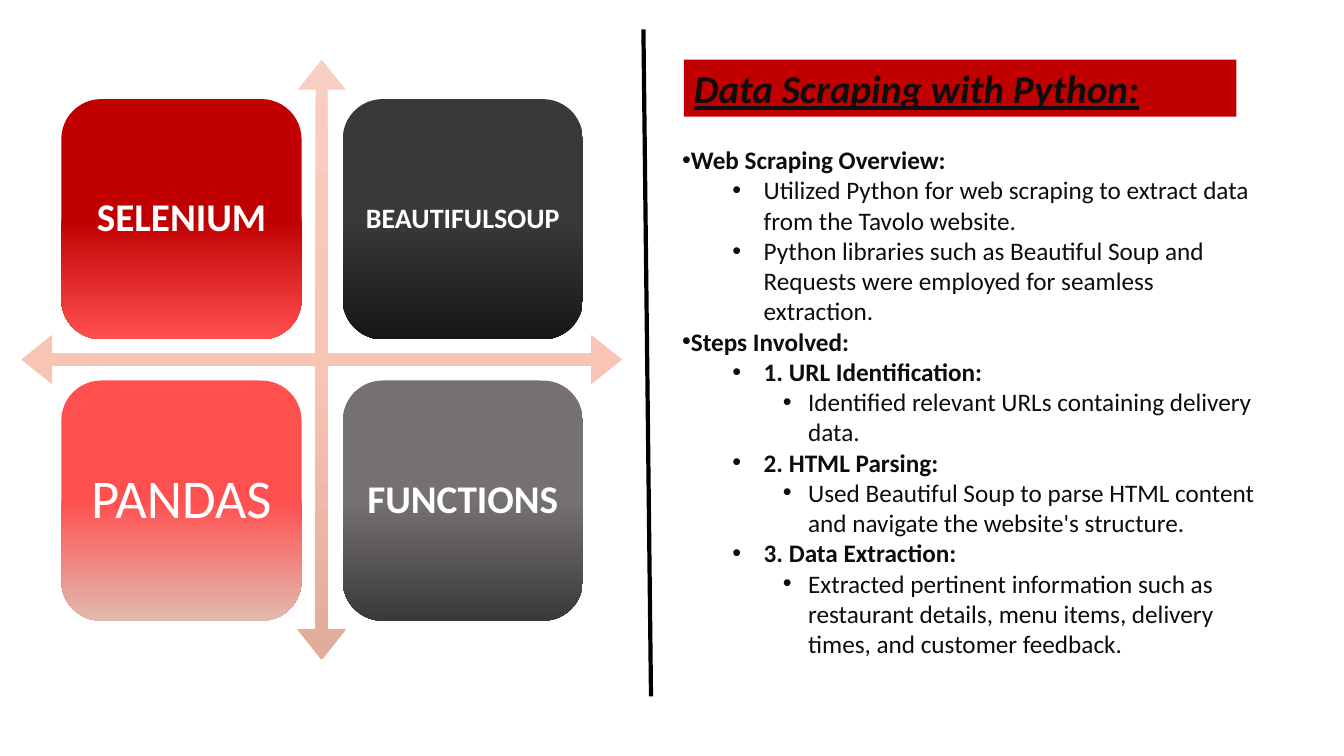
from copy import deepcopy

from pptx import Presentation
from pptx.dml.color import RGBColor
from pptx.enum.shapes import MSO_CONNECTOR, MSO_SHAPE
from pptx.enum.text import MSO_ANCHOR, MSO_AUTO_SIZE, PP_ALIGN
from pptx.oxml.ns import qn
from pptx.util import Inches, Pt

QUAD_ARROW = MSO_SHAPE.QUAD_ARROW
ROUNDED = MSO_SHAPE.ROUNDED_RECTANGLE
STRAIGHT = MSO_CONNECTOR.STRAIGHT
TOP, MIDDLE = MSO_ANCHOR.TOP, MSO_ANCHOR.MIDDLE
LEFT, CENTER = PP_ALIGN.LEFT, PP_ALIGN.CENTER
FIXED = MSO_AUTO_SIZE.NONE

COLUMNS, ROWS = 16, 9
TITLE = "Data Scraping with Python:"
ARROW_STOPS = ("F8CFC2", "F8C4B3", "E2AC9A")
ARROW_PROPORTIONS = (0.02, 0.04, 0.05)
TILE_LEFT, TILE_TOP, TILE_SIZE, TILE_PITCH = 0.73, 1.18, 2.86, 3.35
TILES = [
    ("SELENIUM", 28, True, ("C00000", "C00000", "FF5050")),
    ("BEAUTIFULSOUP", 20, True, ("3B3838", "3B3838", "181717")),
    ("PANDAS", 39, False, ("FF5050", "FF5050", "E1BAAE")),
    ("FUNCTIONS", 28, True, ("767171", "767171", "3B3838")),
]
LEVEL_INDENTS = [(0, 0), (0.81, -0.31), (1.25, -0.25)]
OUTLINE = [
    (0, True, "Web Scraping Overview:"),
    (1, False, "Utilized Python for web scraping to extract data from the Tavolo website."),
    (1, False, "Python libraries such as Beautiful Soup and Requests were employed "
               "for seamless extraction."),
    (0, True, "Steps Involved:"),
    (1, True, "1. URL Identification:"),
    (2, False, "Identified relevant URLs containing delivery data."),
    (1, True, "2. HTML Parsing:"),
    (2, False, "Used Beautiful Soup to parse HTML content and navigate the website's structure."),
    (1, True, "3. Data Extraction:"),
    (2, False, "Extracted pertinent information such as restaurant details, menu items, "
               "delivery times, and customer feedback."),
]


def color(hex_value):
    """Return the colour for a hex string."""
    return RGBColor.from_string(hex_value)


def apply(target, values):
    """Set each named attribute of the target."""
    for name, value in values.items():
        setattr(target, name, value)


class Page:
    """Draw styled elements on one slide laid out on a column and row grid."""

    font = "Calibri"
    ink = "0D0D0D"
    light = "FFFFFF"
    accent = "C00000"

    def __init__(self, deck):
        """Add a title and content slide to the deck."""
        self.slide = deck.slides.add_slide(deck.slide_layouts[1])
        self.column = deck.slide_width / COLUMNS
        self.row = deck.slide_height / ROWS

    def place(self, left, top, width, height):
        """Convert grid units to slide lengths."""
        return (round(left * self.column), round(top * self.row),
                round(width * self.column), round(height * self.row))

    def move(self, box, *area):
        """Put a placeholder at a grid area."""
        apply(box, dict(zip(("left", "top", "width", "height"), self.place(*area))))

    def add_span(self, para, text, size, ink, **formats):
        """Add one formatted span to a paragraph."""
        span = para.add_run()
        span.text = text
        apply(span.font, {"name": self.font, "size": Pt(size), **formats})
        span.font.color.rgb = color(ink)

    def gradient_shape(self, kind, stops, *area):
        """Add a preset shape with a vertical three-stop gradient."""
        box = self.slide.shapes.add_shape(kind, *self.place(*area))
        box.shadow.inherit = False
        box.line.fill.background()
        box.fill.gradient()
        box.fill.gradient_angle = 270
        stop_list = box._element.spPr.find(".//" + qn("a:gsLst"))
        stop_list.insert(1, deepcopy(stop_list[0]))
        for index, (stop, hex_value) in enumerate(zip(box.fill.gradient_stops, stops)):
            stop.position = index / 2
            stop.color.rgb = color(hex_value)
        return box

    def cross_arrow(self, *area):
        """Add the four-way arrow behind the tiles."""
        arrow = self.gradient_shape(QUAD_ARROW, ARROW_STOPS, *area)
        for index, share in enumerate(ARROW_PROPORTIONS):
            arrow.adjustments[index] = share

    def tile(self, label, size, bold, stops, *area):
        """Add a rounded tile with a centred label."""
        frame = self.gradient_shape(ROUNDED, stops, *area).text_frame
        margins = dict.fromkeys(
            ("margin_left", "margin_right", "margin_top", "margin_bottom"), Inches(0.08))
        apply(frame, {"word_wrap": True, "vertical_anchor": MIDDLE, **margins})
        para = frame.paragraphs[0]
        apply(para, {"alignment": CENTER, "line_spacing": 0.9})
        self.add_span(para, label, size, self.light, bold=bold)

    def divider(self, left, top, right, bottom):
        """Add the line between the two halves."""
        line = self.slide.shapes.add_connector(
            STRAIGHT, *self.place(left, top, right, bottom))
        line.line.color.rgb = color("000000")
        line.line.width = Pt(3)
        line._element.spPr.append(line._element.makeelement(qn("a:effectLst"), {}))

    def title(self, text, *area):
        """Fill the title placeholder as a coloured banner."""
        box = self.slide.shapes.title
        self.move(box, *area)
        box.fill.solid()
        box.fill.fore_color.rgb = color(self.accent)
        frame = box.text_frame
        apply(frame, {"auto_size": FIXED, "word_wrap": True, "vertical_anchor": TOP})
        para = frame.paragraphs[0]
        para.alignment = LEFT
        self.add_span(para, text, 28, self.ink, bold=True, italic=True, underline=True)

    def outline(self, items, *area):
        """Fill the body placeholder with a bulleted outline."""
        box = self.slide.placeholders[1]
        self.move(box, *area)
        frame = box.text_frame
        apply(frame, {"auto_size": FIXED, "word_wrap": True, "vertical_anchor": TOP})
        for index, (level, bold, text) in enumerate(items):
            para = frame.add_paragraph() if index else frame.paragraphs[0]
            apply(para, {"level": level, "alignment": LEFT, "line_spacing": 1.0,
                         "space_before": Pt(0), "space_after": Pt(0)})
            self.bullet(para, *LEVEL_INDENTS[level])
            self.add_span(para, text, 18, self.ink, bold=bold)

    def bullet(self, para, margin, indent):
        """Give a paragraph a round bullet with the given indents."""
        properties = para._p.get_or_add_pPr()
        properties.set("marL", str(Inches(margin)))
        properties.set("indent", str(Inches(indent)))
        for tag, values in (("a:buFont", {"typeface": "Arial"}), ("a:buChar", {"char": "•"})):
            properties.append(properties.makeelement(qn(tag), values))


def main():
    """Build the slide and save it."""
    deck = Presentation()
    apply(deck, {"slide_width": Inches(13.33), "slide_height": Inches(7.5)})
    page = Page(deck)
    page.cross_arrow(0.26, 0.71, 7.14, 7.14)
    for index, tile in enumerate(TILES):
        row, column = divmod(index, 2)
        page.tile(*tile, TILE_LEFT + column * TILE_PITCH, TILE_TOP + row * TILE_PITCH,
                  TILE_SIZE, TILE_SIZE)
    page.divider(7.66, 0.35, 7.75, 8.29)
    page.outline(OUTLINE, 8, 1.66, 7.22, 6.66)
    page.title(TITLE, 8.14, 0.71, 6.58, 0.68)
    deck.save("out.pptx")


if __name__ == "__main__":
    main()
